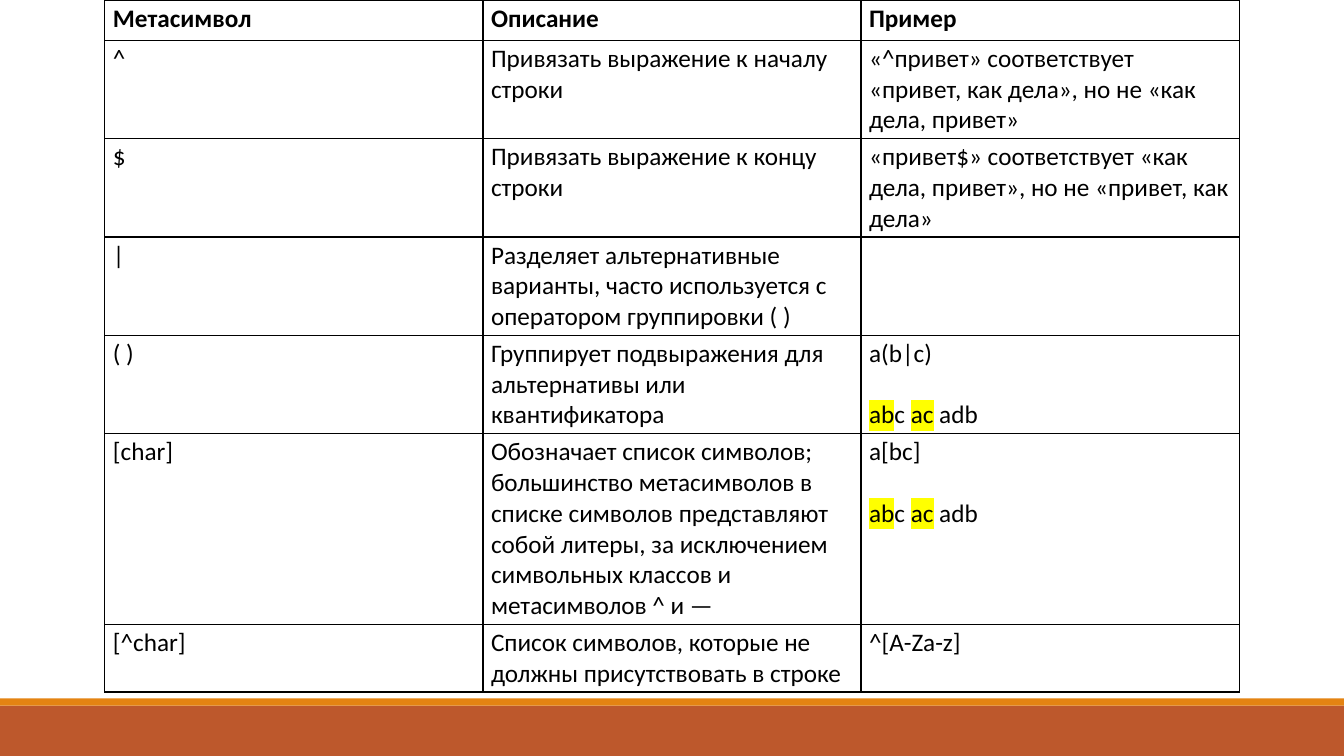
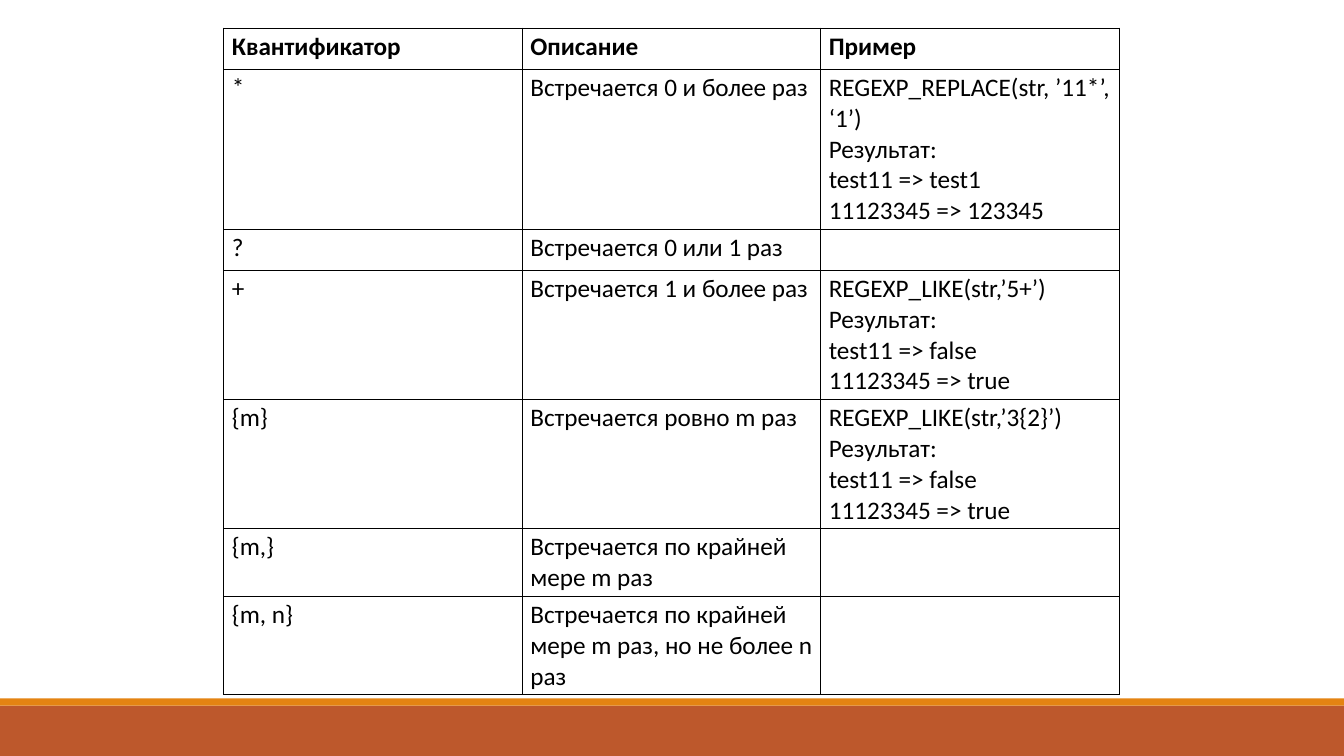
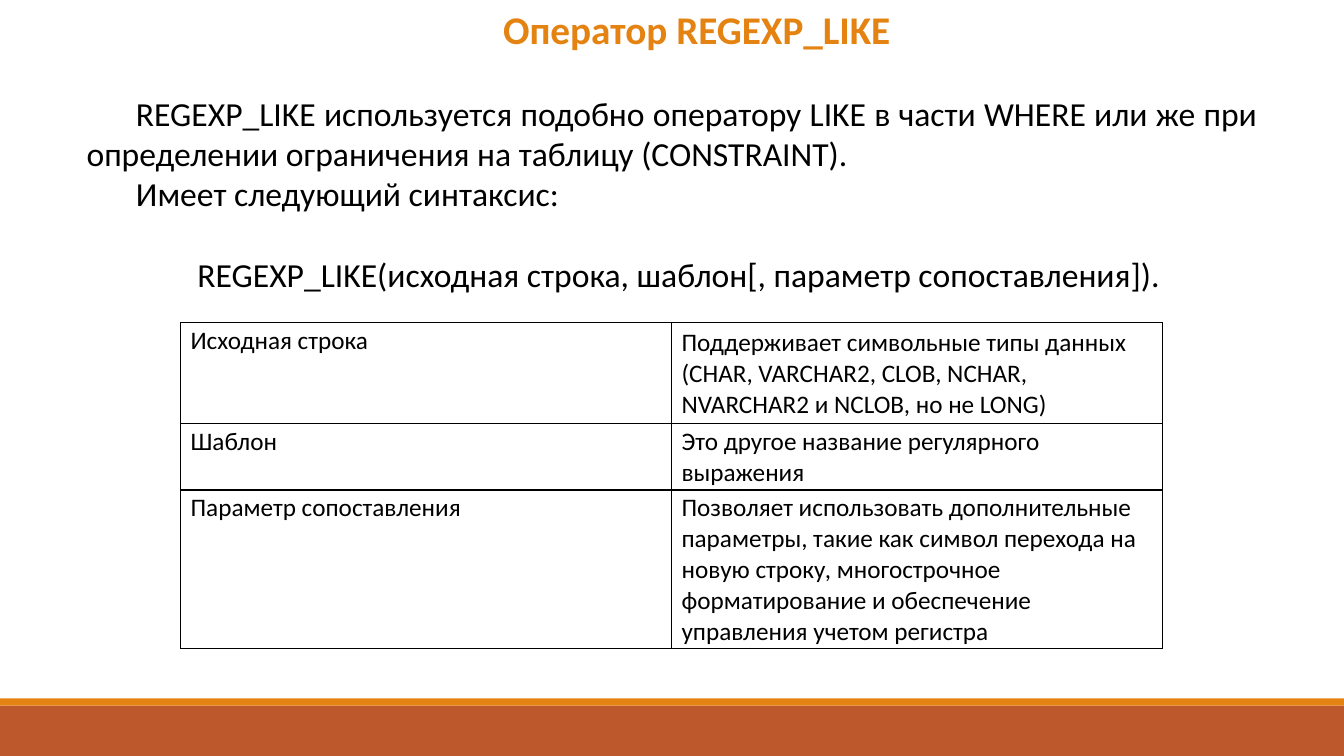
from dataclasses import dataclass

from lxml import etree
from pptx import Presentation
from pptx.dml.color import RGBColor
from pptx.enum.shapes import MSO_SHAPE
from pptx.enum.text import PP_ALIGN
from pptx.oxml import parse_xml
from pptx.oxml.ns import nsdecls, qn
from pptx.slide import Slide
from pptx.table import Table, _Cell
from pptx.text.text import _Paragraph
from pptx.util import Inches, Pt

RECT = MSO_SHAPE.RECTANGLE
LEFT, CENTER, JUSTIFY = PP_ALIGN.LEFT, PP_ALIGN.CENTER, PP_ALIGN.JUSTIFY

FONT = "Calibri"
BLACK, ORANGE, RUST, YELLOW = "000000", "E48312", "BD582C", "FFFF00"
WIDTH, HEIGHT = 13.33, 7.5
BODY = 18
INDENT = 0.49


@dataclass
class Band:
    top: float
    high: float
    color: str


@dataclass
class Match:
    """A pattern with the sample line whose matches are marked."""
    rule: str


@dataclass
class Grid:
    left: float
    top: float
    col: float
    pad: float
    highs: list[float]
    rows: list[list[str | Match]]
    head: bool = True


@dataclass
class Para:
    text: str
    size: int = 24
    color: str = BLACK
    bold: bool = False
    align: PP_ALIGN = JUSTIFY
    margin: float = 0
    indent: float = INDENT
    before: int = 0


BANDS = [Band(7, 0.5, RUST), Band(6.93, 0.07, ORANGE)]
SAMPLE = [("ab", True), ("c ", False), ("ac", True), (" adb", False)]

META = Grid(1.04, 0, 3.75, 0.08, [0.4, 0.97, 0.97, 0.97, 0.97, 1.88, 0.66], [
    ["Метасимвол", "Описание", "Пример"],
    ["^", "Привязать выражение к началу строки",
     "«^привет» соответствует «привет, как дела», но не «как дела, привет»"],
    ["$", "Привязать выражение к концу строки",
     "«привет$» соответствует «как дела, привет», но не «привет, как дела»"],
    ["|", "Разделяет альтернативные варианты, часто используется с "
     "оператором группировки ( )", ""],
    ["( )", "Группирует подвыражения для альтернативы или квантификатора",
     Match("a(b|c)")],
    ["[char]", "Обозначает список символов; большинство метасимволов в "
     "списке символов представляют собой литеры, за исключением "
     "символьных классов и метасимволов ^ и —", Match("a[bc]")],
    ["[^char]", "Список символов, которые не должны присутствовать в строке",
     "^[A-Za-z]"],
])

COUNT = Grid(2.22, 0.28, 2.96, 0.08, [0.41, 1.58, 0.41, 1.27, 1.27, 0.66, 0.97], [
    ["Квантификатор", "Описание", "Пример"],
    ["*", "Встречается 0 и более раз",
     "REGEXP_REPLACE(str, ’11*’, ‘1’)\nРезультат:\n"
     "test11 => test1\n11123345 => 123345"],
    ["?", "Встречается 0 или 1 раз", ""],
    ["+", "Встречается 1 и более раз",
     "REGEXP_LIKE(str,’5+’)\nРезультат:\ntest11 => false\n11123345 => true"],
    ["{m}", "Встречается ровно m раз",
     "REGEXP_LIKE(str,’3{2}’)\nРезультат:\ntest11 => false\n11123345 => true"],
    ["{m,}", "Встречается по крайней мере m раз", ""],
    ["{m, n}", "Встречается по крайней мере m раз, но не более n раз", ""],
])

ARGS = Grid(1.79, 3.2, 4.87, 0.1, [1, 0.66, 1.57], [
    ["Исходная строка", "Поддерживает символьные типы данных (CHAR, VARCHAR2, "
     "CLOB, NCHAR, NVARCHAR2 и NCLOB, но не LONG)"],
    ["Шаблон", "Это другое название регулярного выражения"],
    ["Параметр сопоставления", "Позволяет использовать дополнительные "
     "параметры, такие как символ перехода на новую строку, многострочное "
     "форматирование и обеспечение управления учетом регистра"],
], head=False)

INTRO = [
    Para("Оператор REGEXP_LIKE", 28, ORANGE, True, CENTER),
    Para("REGEXP_LIKE используется подобно оператору LIKE в части WHERE или "
         "же при определении ограничения на таблицу (CONSTRAINT).", before=29),
    Para("Имеет следующий синтаксис:"),
    Para("REGEXP_LIKE(исходная строка, шаблон[, параметр сопоставления]).",
         align=LEFT, margin=1.1, indent=0, before=29),
]


def rgb(color: str) -> RGBColor:
    return RGBColor.from_string(color)


def add_run(para: _Paragraph, text: str, size: int = BODY, color: str = BLACK,
            bold: bool = False, mark: bool = False) -> None:
    run = para.add_run()
    run.text = text
    font = run.font
    font.name, font.size, font.bold = FONT, Pt(size), bold
    font.color.rgb = rgb(color)
    if mark:
        fill = run._r.get_or_add_rPr().find(qn("a:solidFill"))
        fill.addnext(parse_xml(
            f'<a:highlight {nsdecls("a")}><a:srgbClr val="{YELLOW}"/></a:highlight>'))


def add_edges(cell: _Cell) -> None:
    """Put a thin black border on all four sides."""
    props = cell._tc.get_or_add_tcPr()
    for spot, side in enumerate("LRTB"):
        line = etree.Element(qn(f"a:ln{side}"), w=str(Pt(1)))
        fill = etree.SubElement(line, qn("a:solidFill"))
        etree.SubElement(fill, qn("a:srgbClr"), val=BLACK)
        props.insert(spot, line)


def fill_cell(cell: _Cell, item: str | Match, pad: float, bold: bool) -> None:
    cell.margin_left = cell.margin_right = Inches(pad)
    cell.margin_top = cell.margin_bottom = Inches(0.03)
    cell.fill.background()
    add_edges(cell)
    frame = cell.text_frame
    para = frame.paragraphs[0]
    if isinstance(item, Match):
        add_run(para, item.rule)
        para = frame.add_paragraph()
        para.space_before = Pt(22)
        for text, mark in SAMPLE:
            add_run(para, text, mark=mark)
    elif item:
        for num, text in enumerate(item.split("\n")):
            if num:
                para.add_line_break()
            add_run(para, text, bold=bold)


def add_grid(slide: Slide, grid: Grid) -> Table:
    count = len(grid.rows[0])
    table = slide.shapes.add_table(
        len(grid.rows), count, Inches(grid.left), Inches(grid.top),
        Inches(grid.col * count), Inches(sum(grid.highs))).table
    table.first_row = table.horz_banding = False
    for col in table.columns:
        col.width = Inches(grid.col)
    for num, (items, high) in enumerate(zip(grid.rows, grid.highs)):
        table.rows[num].height = Inches(high)
        for cell, item in zip(table.rows[num].cells, items):
            fill_cell(cell, item, grid.pad, grid.head and num == 0)
    return table


def add_intro(slide: Slide) -> None:
    box = slide.shapes.add_textbox(Inches(0.76), 0, Inches(11.81), Inches(3))
    frame = box.text_frame
    frame.word_wrap = True
    for num, item in enumerate(INTRO):
        para = frame.add_paragraph() if num else frame.paragraphs[0]
        props = para._p.get_or_add_pPr()
        props.set("marL", str(Inches(item.margin)))
        props.set("indent", str(Inches(item.indent)))
        para.alignment = item.align
        if item.before:
            para.space_before = Pt(item.before)
        add_run(para, item.text, item.size, item.color, item.bold)


def add_slide(deck: Presentation) -> Slide:
    """Add a blank slide with the shared bottom bands."""
    slide = deck.slides.add_slide(deck.slide_layouts[6])
    for band in BANDS:
        shape = slide.shapes.add_shape(
            RECT, 0, Inches(band.top), Inches(WIDTH), Inches(band.high))
        shape.shadow.inherit = False
        shape.fill.solid()
        shape.fill.fore_color.rgb = rgb(band.color)
        shape.line.fill.background()
    return slide


def main() -> None:
    deck = Presentation()
    deck.slide_width, deck.slide_height = Inches(WIDTH), Inches(HEIGHT)
    for grid in (META, COUNT):
        add_grid(add_slide(deck), grid)
    slide = add_slide(deck)
    add_intro(slide)
    types = add_grid(slide, ARGS).cell(0, 1)
    types.margin_top = types.margin_bottom = Inches(0.05)
    deck.save("out.pptx")


if __name__ == "__main__":
    main()
